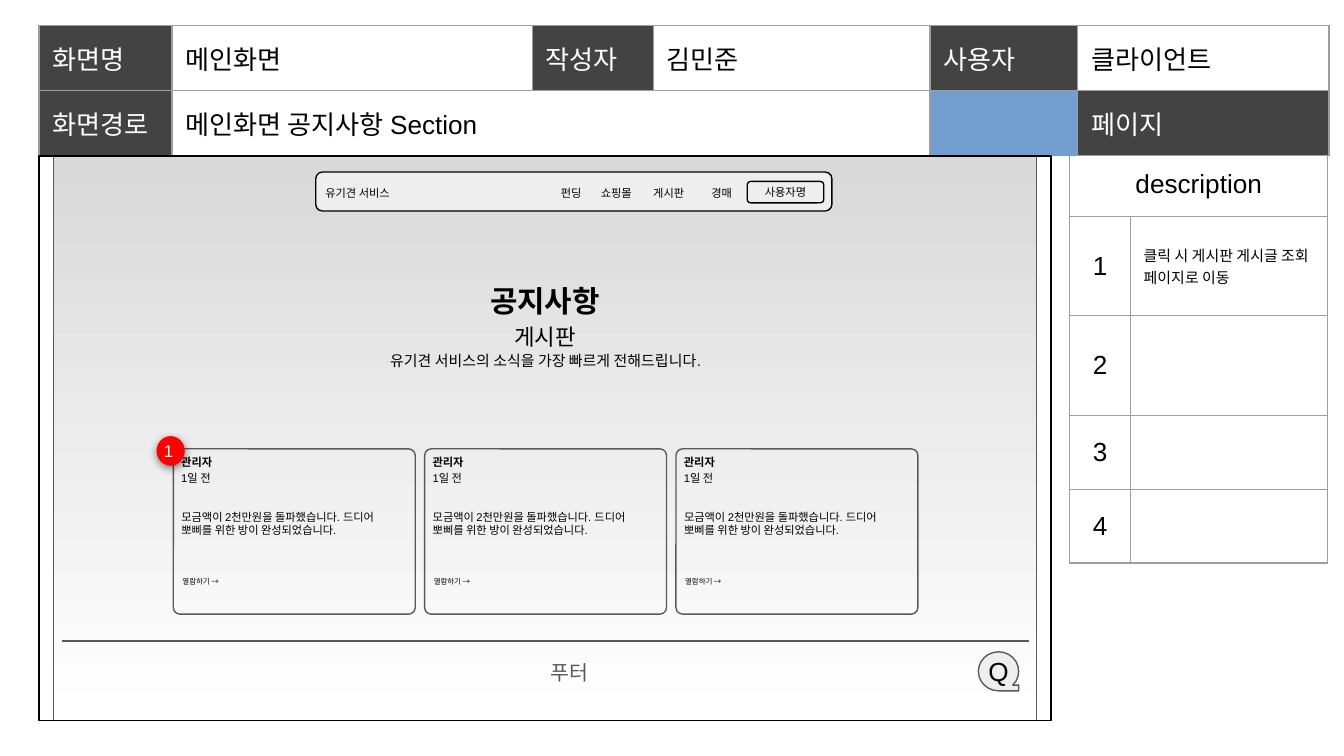
from lxml import etree
from pptx import Presentation
from pptx.dml.color import RGBColor
from pptx.enum.shapes import MSO_CONNECTOR, MSO_SHAPE
from pptx.enum.text import MSO_ANCHOR, MSO_AUTO_SIZE, PP_ALIGN
from pptx.oxml import parse_xml
from pptx.oxml.ns import nsdecls, qn
from pptx.util import Inches, Pt

LEFT, CENTER = PP_ALIGN.LEFT, PP_ALIGN.CENTER
TOP, MIDDLE = MSO_ANCHOR.TOP, MSO_ANCHOR.MIDDLE
ROUNDED = MSO_SHAPE.ROUNDED_RECTANGLE
BLACK = RGBColor(0x00, 0x00, 0x00)
WHITE = RGBColor(0xFF, 0xFF, 0xFF)
DARK = RGBColor(0x43, 0x43, 0x43)
GRAY = RGBColor(0x59, 0x59, 0x59)
SILVER = RGBColor(0xD9, 0xD9, 0xD9)
PALE = RGBColor(0xEE, 0xEE, 0xEE)
RED = RGBColor(0xFF, 0x00, 0x00)
BORDER = RGBColor(0x9E, 0x9E, 0x9E)


def write(frame, text, size=6, color=BLACK, bold=False, align=CENTER,
          anchor=MIDDLE, left=0.1, right=0.1, spacing=None):
    frame.word_wrap = True
    frame.vertical_anchor = anchor
    frame.margin_left, frame.margin_right = Inches(left), Inches(right)
    frame.margin_top = frame.margin_bottom = Inches(0.1)
    para = frame.paragraphs[0]
    if para.runs:
        para = frame.add_paragraph()
    para.alignment = align
    para.line_spacing = spacing
    span = para.add_run()
    span.text = text
    span.font.name = "Arial"
    span.font.size = Pt(size)
    span.font.bold = bold
    span.font.color.rgb = color


def add_box(kind, area, line, fill=None, radius=None):
    box = page.shapes.add_shape(kind, *map(Inches, area))
    box.shadow.inherit = False
    box.line.color.rgb = line
    box.line.width = Pt(0.75)
    if fill is None:
        box.fill.background()
    else:
        box.fill.solid()
        box.fill.fore_color.rgb = fill
    if radius is not None:
        box.adjustments[0] = radius
    return box


deck = Presentation()
deck.slide_width = Inches(10)
deck.slide_height = deck.slide_width * 9 // 16
page = deck.slides.add_slide(deck.slide_layouts[5])

notes_rows = [["description", ""], ["1", "클릭 시 게시판 게시글 조회 페이지로 이동"],
              ["2", ""], ["3", ""], ["4", ""]]
header_rows = [["화면명", "메인화면", "작성자", "김민준", "", "사용자", "클라이언트"],
               ["화면경로", "메인화면 공지사항 Section", "", "", "", "페이지", "1"]]
labels = {"화면명", "작성자", "사용자", "화면경로", "페이지"}
tables = [
    (7.96, 1.16, [0.45, 1.47], [0.45, 0.74, 0.74, 0.55, 0.55], notes_rows, [(0, 0, 1)]),
    (0.29, 0.19, [0.99, 2.68, 0.9, 1.62, 0.44, 1.1, 1.87], [0.48, 0.48],
     header_rows, [(0, 3, 4), (1, 1, 4)]),
]
for left, top, widths, heights, rows, merges in tables:
    grid = page.shapes.add_table(
        len(heights), len(widths), Inches(left), Inches(top),
        Inches(sum(widths)), Inches(sum(heights))).table
    grid.first_row = grid.horz_banding = False
    for column, width in zip(grid.columns, widths):
        column.width = Inches(width)
    for row, height in zip(grid.rows, heights):
        row.height = Inches(height)
    for row, first, last in merges:
        grid.cell(row, first).merge(grid.cell(row, last))
    is_header = rows is header_rows
    for r, texts in enumerate(rows):
        for c, text in enumerate(texts):
            cell = grid.cell(r, c)
            borders = cell._tc.get_or_add_tcPr()
            for side in ("a:lnL", "a:lnR", "a:lnT", "a:lnB"):
                edge = etree.SubElement(borders, qn(side), w=str(Pt(0.75)))
                paint = etree.SubElement(edge, qn("a:solidFill"))
                etree.SubElement(paint, qn("a:srgbClr"), val=str(BORDER))
            if is_header:
                cell.fill.solid()
                cell.fill.fore_color.rgb = DARK if text in labels else WHITE
            else:
                cell.fill.background()
            if text:
                small = not is_header and c == 1
                write(cell.text_frame, text, size=8 if small else 14,
                      color=WHITE if text in labels else BLACK,
                      align=LEFT if is_header or small else CENTER)
                cell.vertical_anchor = TOP if text == "description" else MIDDLE
                cell.margin_left = cell.margin_right = Inches(0.1)
                cell.margin_top = cell.margin_bottom = Inches(0.1)

screen = add_box(MSO_SHAPE.ROUND_2_SAME_RECTANGLE, (0.4, 1.16, 7.31, 4.2), GRAY, radius=0)
screen.fill.gradient()
screen.fill.gradient_angle = 270
for stop, color, position in zip(screen.fill.gradient_stops, (SILVER, WHITE), (0, 1)):
    stop.color.rgb = color
    stop.position = position

title = page.shapes.title
title.left, title.top, title.width, title.height = map(Inches, (3.45, 2.07, 1.21, 0.53))
title.text_frame.auto_size = MSO_AUTO_SIZE.NONE
write(title.text_frame, "공지사항", size=16, bold=True, spacing=1.15)
write(title.text_frame, "게시판", size=12, spacing=1.15)
screen.element.addnext(title.element)

add_box(MSO_SHAPE.RECTANGLE, (0.29, 1.16, 7.53, 4.2), BLACK)
add_box(ROUNDED, (2.35, 1.28, 3.84, 0.29), BLACK, PALE, 0.17)
user_button = add_box(ROUNDED, (5.56, 1.35, 0.57, 0.16), BLACK, PALE, 0.17)
write(user_button.text_frame, "사용자명")

labels_on_screen = [
    ((2.58, 2.53, 2.96, 0.3), "유기견 서비스의 소식을 가장 빠르게 전해드립니다.", {"size": 8}),
    ((2.3, 1.33, 0.72, 0.21), "유기견 서비스", {}),
    ((4.04, 1.33, 0.42, 0.21), "펀딩", {}),
    ((4.33, 1.33, 0.51, 0.21), "쇼핑몰", {}),
    ((4.72, 1.33, 0.51, 0.21), "게시판", {}),
    ((5.16, 1.33, 0.42, 0.21), "경매", {}),
    ((3.72, 4.87, 1.04, 0.26), "푸터", {"size": 11, "color": GRAY}),
]
for i in range(3):
    x = 1.29 + 1.87 * i
    add_box(ROUNDED, (x, 3.34, 1.8, 1.23), GRAY, radius=0.04)
    labels_on_screen += [
        ((x - 0.04, 3.34, 0.48, 0.3), "관리자", {"bold": True, "align": LEFT, "anchor": TOP}),
        ((x - 0.04, 3.46, 0.51, 0.3), "1일 전", {"align": LEFT, "anchor": TOP}),
        ((x + 0.04, 3.73, 1.73, 0.33),
         "모금액이 2천만원을 돌파했습니다. 드디어 뽀삐를 위한 방이 완성되었습니다.",
         {"align": LEFT, "left": 0.02}),
        ((x - 0.03, 4.29, 0.53, 0.08), "열람하기 →", {"size": 4, "align": LEFT}),
    ]
for area, text, style in labels_on_screen:
    write(page.shapes.add_textbox(*map(Inches, area)).text_frame, text, **style)

quick_button = add_box(MSO_SHAPE.FLOWCHART_SEQUENTIAL_ACCESS_STORAGE,
                       (7.28, 4.85, 0.3, 0.29), GRAY, PALE)
write(quick_button.text_frame, "Q", size=14, left=0, right=0)
quick_button.text_frame.margin_top = quick_button.text_frame.margin_bottom = 0

badge = add_box(MSO_SHAPE.OVAL, (1.17, 3.25, 0.2, 0.21), RED, RED)
write(badge.text_frame, "1", size=9, color=WHITE, left=0, right=0.03)
badge.element.spPr.find(qn("a:effectLst")).append(parse_xml(
    f'<a:outerShdw {nsdecls("a")} blurRad="{Pt(4.5)}" dist="{Pt(1.5)}" dir="5400000">'
    '<a:srgbClr val="000000"><a:alpha val="50000"/></a:srgbClr></a:outerShdw>'))

divider = page.shapes.add_connector(
    MSO_CONNECTOR.STRAIGHT, Inches(0.46), Inches(4.77), Inches(7.66), Inches(4.77))
divider.line.color.rgb = GRAY
divider.line.width = Pt(0.75)
etree.SubElement(divider.element.spPr, qn("a:effectLst"))

deck.save("out.pptx")
